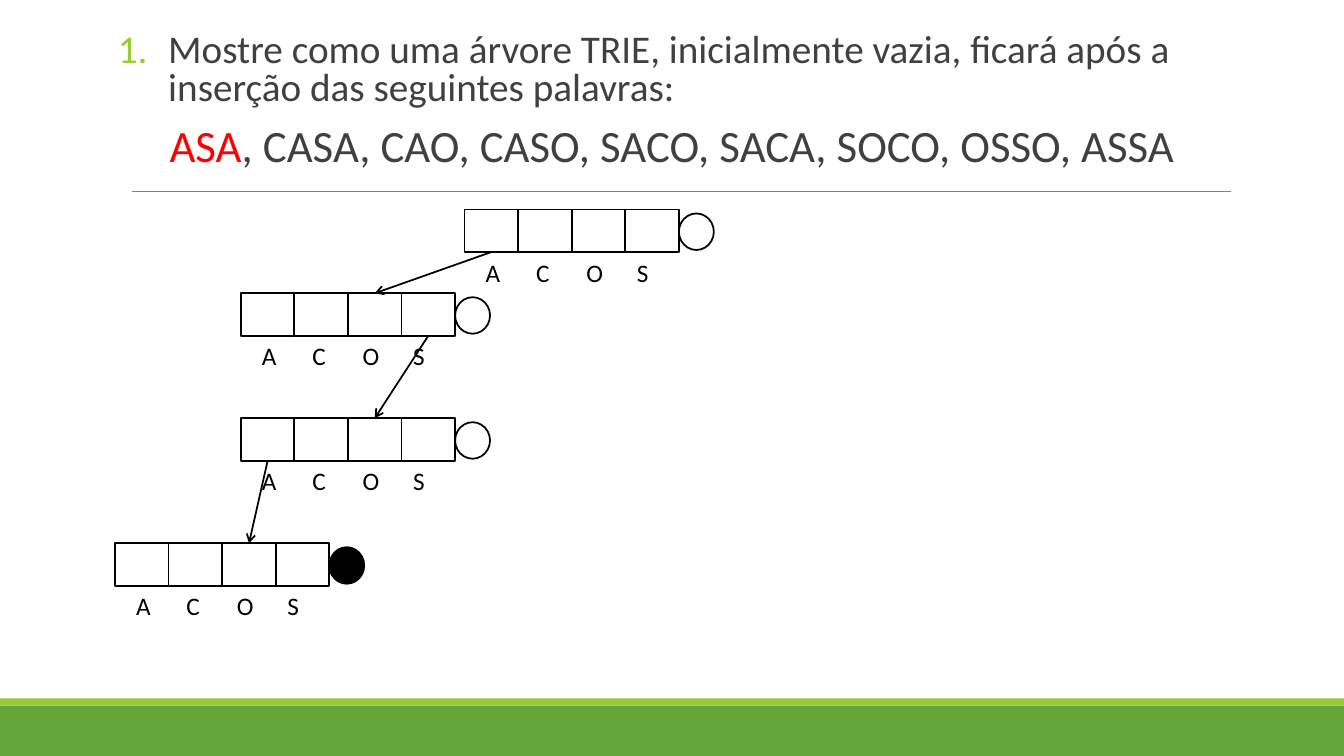
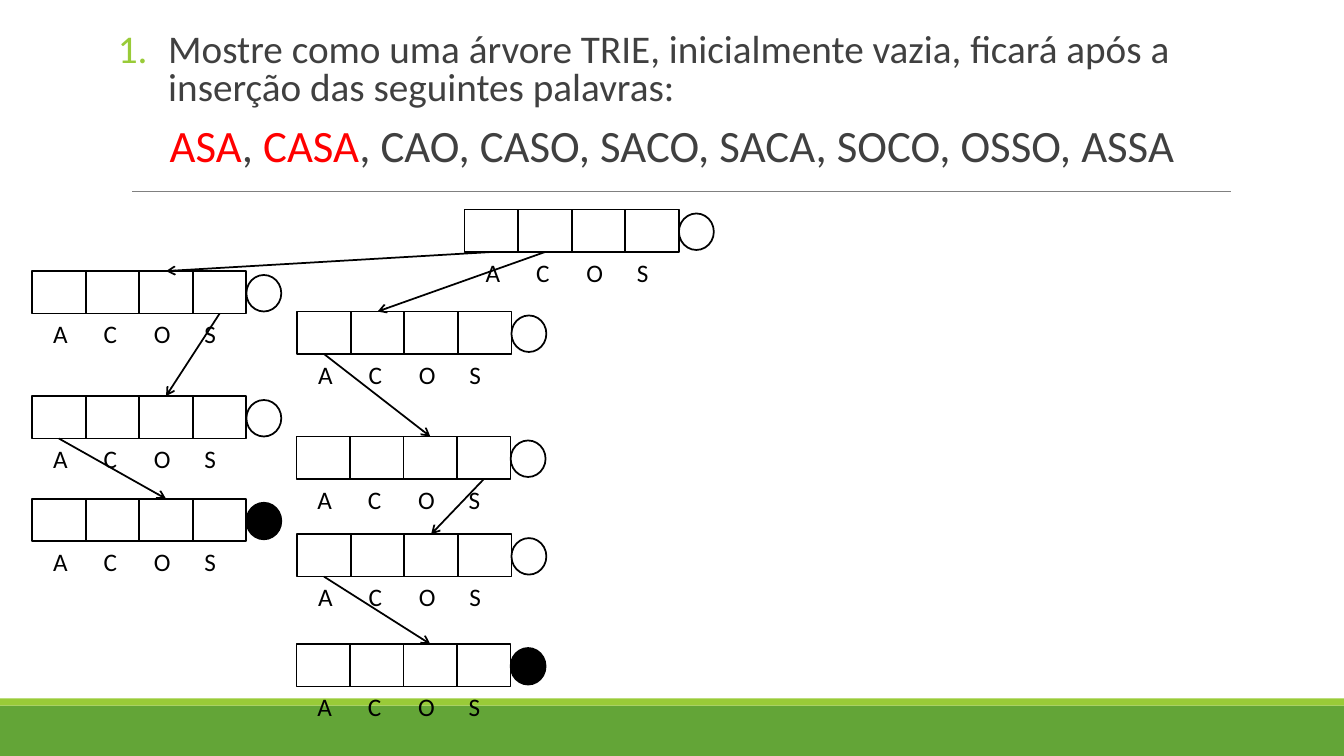
from lxml import etree
from pptx import Presentation
from pptx.dml.color import RGBColor
from pptx.enum import shapes, text
from pptx.oxml.ns import qn
from pptx.util import Cm, Pt

GREEN = RGBColor(0x63, 0xA5, 0x37)
LIME = RGBColor(0x99, 0xCB, 0x38)
GRAY = RGBColor(0x80, 0x80, 0x80)
DARK = RGBColor(0x40, 0x40, 0x40)
RED = RGBColor(0xFF, 0x00, 0x00)
BLACK = RGBColor(0x00, 0x00, 0x00)

LETTERS = "ACOS"
QUESTION = ("Mostre como uma árvore TRIE, inicialmente vazia, ficará após a "
            "inserção das seguintes palavras:")
WORDS = ["ASA", "CASA", "CAO", "CASO", "SACO", "SACA", "SOCO", "OSSO", "ASSA"]

# Lengths in centimetres
CELL_WIDTH, CELL_HEIGHT = 1.35, 1.07
TAB_STEP = 1.27

# One tree per slide: name: (left, top, ends a word)
# Links: parent, letter it leaves from, child, letter it points at
TREES = [
    {
        "nodes": {
            "": (11.71, 5.28, False),
            "A": (6.07, 7.39, False),
            "AS": (6.07, 10.54, False),
            "ASA": (2.9, 13.69, True),
        },
        "links": [("", "A", "A", "O"), ("A", "S", "AS", "O"),
                  ("AS", "A", "ASA", "O")],
    },
    {
        "nodes": {
            "": (11.71, 5.28, False),
            "A": (0.81, 6.83, False),
            "AS": (0.81, 9.98, False),
            "ASA": (0.81, 12.57, True),
            "C": (7.49, 7.85, False),
            "CA": (7.47, 11, False),
            "CAS": (7.49, 13.46, False),
            "CASA": (7.47, 16.23, True),
        },
        "links": [("", "A", "A", "O"), ("A", "S", "AS", "O"),
                  ("AS", "A", "ASA", "O"), ("", "C", "C", "C"),
                  ("C", "A", "CA", "O"), ("CA", "S", "CAS", "O"),
                  ("CAS", "A", "CASA", "O")],
    },
]


def apply(target, values):
    for name, value in values.items():
        setattr(target, name, value)


def add_xml(parent, tag, **attributes):
    return etree.SubElement(parent, qn(tag), attributes)


def remove(shape):
    shape.element.getparent().remove(shape.element)


def cell_center(node, letter):
    return node[0] + (LETTERS.index(letter) + 0.5) * CELL_WIDTH


class TrieDeck:
    font = "Calibri"
    outline = Pt(1.25)
    para_format = {"line_spacing": 0.8, "space_before": Pt(12),
                   "space_after": Pt(2)}

    def __init__(self):
        self.deck = Presentation()
        apply(self.deck, {"slide_width": Cm(33.87), "slide_height": Cm(19.05)})
        self.layout = self.deck.slide_layouts[1]
        for holder in list(self.layout.placeholders)[2:]:
            remove(holder)
        self.page = None

    def start_slide(self):
        first = self.page is None
        self.page = self.deck.slides.add_slide(self.layout)
        remove(self.page.shapes.title)
        if first:
            self.add_frame()

    def add_frame(self):
        """Draw the bands and the rule, then hand them to the shared layout."""
        rectangle = shapes.MSO_SHAPE.RECTANGLE
        frame = [
            self.add_shape(rectangle, 0, 17.78, 33.87, 1.27, GREEN, None),
            self.add_shape(rectangle, 0, 17.6, 33.87, 0.18, LIME, None),
            self.add_line((3.33, 4.83), (31.01, 4.83), GRAY, Pt(0.5)),
        ]
        for shape in frame:
            self.layout.shapes.element.append(shape.element)

    def add_shape(self, kind, left, top, width, height, fill=None, line=BLACK):
        shape = self.page.shapes.add_shape(
            kind, Cm(left), Cm(top), Cm(width), Cm(height))
        shape.shadow.inherit = False
        for part, color in ((shape.fill, fill), (shape.line.fill, line)):
            if color is None:
                part.background()
            else:
                part.solid()
                part.fore_color.rgb = color
        if line is not None:
            shape.line.width = self.outline
        return shape

    def add_line(self, start, end, color, width):
        line = self.page.shapes.add_connector(
            shapes.MSO_CONNECTOR.STRAIGHT, *(Cm(n) for n in (*start, *end)))
        line.line.color.rgb = color
        line.line.width = width
        add_xml(line.element.spPr, "a:effectLst")
        return line

    def add_arrow(self, start, end):
        arrow = self.add_line(start, end, BLACK, self.outline)
        add_xml(arrow.element.spPr.find(qn("a:ln")), "a:tailEnd", type="arrow")

    def add_span(self, para, words, size, color):
        span = para.add_run()
        span.text = words
        apply(span.font, {"name": self.font, "size": Pt(size)})
        span.font.color.rgb = color

    def add_question(self, inserted):
        """Fill the body; the first `inserted` words are red."""
        box = self.page.placeholders[1]
        apply(box, {"left": Cm(2.97), "top": Cm(0.71),
                    "width": Cm(27.94), "height": Cm(4.14)})
        frame = box.text_frame
        apply(frame, {"margin_left": 0, "margin_right": 0,
                      "margin_top": Cm(0.13), "margin_bottom": Cm(0.13),
                      "word_wrap": True, "auto_size": text.MSO_AUTO_SIZE.NONE,
                      "vertical_anchor": text.MSO_ANCHOR.TOP})

        question = frame.paragraphs[0]
        apply(question, {**self.para_format, "alignment": text.PP_ALIGN.LEFT})
        numbering = question._p.get_or_add_pPr()
        apply_indent = {"marL": Cm(1.27), "indent": -Cm(1.27)}
        for name, value in apply_indent.items():
            numbering.set(name, str(int(value)))
        add_xml(add_xml(numbering, "a:buClr"), "a:srgbClr", val=str(LIME))
        add_xml(numbering, "a:buFont", typeface=self.font)
        add_xml(numbering, "a:buAutoNum", type="arabicPeriod")
        self.add_span(question, QUESTION, 28, DARK)

        words = frame.add_paragraph()
        apply(words, {**self.para_format, "alignment": text.PP_ALIGN.CENTER})
        plain = words._p.get_or_add_pPr()
        plain.set("marL", "0")
        plain.set("indent", "0")
        add_xml(plain, "a:buNone")
        for index, word in enumerate(WORDS):
            if index:
                self.add_span(words, ", ", 32, DARK)
            self.add_span(words, word, 32, RED if index < inserted else DARK)

    def add_letters(self, left, top):
        box = self.page.shapes.add_textbox(
            Cm(left), Cm(top), Cm(4.62), Cm(1.02))
        box.text_frame.word_wrap = True
        para = box.text_frame.paragraphs[0]
        tabs = add_xml(para._p.get_or_add_pPr(), "a:tabLst")
        for step in range(1, len(LETTERS)):
            add_xml(tabs, "a:tab", pos=str(int(Cm(step * TAB_STEP))), algn="l")
        self.add_span(para, "\t".join(LETTERS), 18, BLACK)

    def add_node(self, left, top, ends_word):
        for index in range(len(LETTERS)):
            self.add_shape(shapes.MSO_SHAPE.RECTANGLE, left + index * CELL_WIDTH,
                           top, CELL_WIDTH, CELL_HEIGHT)
        self.add_shape(shapes.MSO_SHAPE.OVAL, left + len(LETTERS) * CELL_WIDTH,
                       top + 0.1, 0.88, 0.92, BLACK if ends_word else None)
        self.add_letters(left + 0.28, top + CELL_HEIGHT)

    def add_tree(self, nodes, links):
        for node in nodes.values():
            self.add_node(*node)
        for parent, letter, child, target in links:
            source, goal = nodes[parent], nodes[child]
            self.add_arrow(
                (cell_center(source, letter), source[1] + CELL_HEIGHT),
                (cell_center(goal, target), goal[1]))


def main():
    trie = TrieDeck()
    for inserted, tree in enumerate(TREES, start=1):
        trie.start_slide()
        trie.add_question(inserted)
        trie.add_tree(**tree)
    trie.deck.save("out.pptx")


if __name__ == "__main__":
    main()
